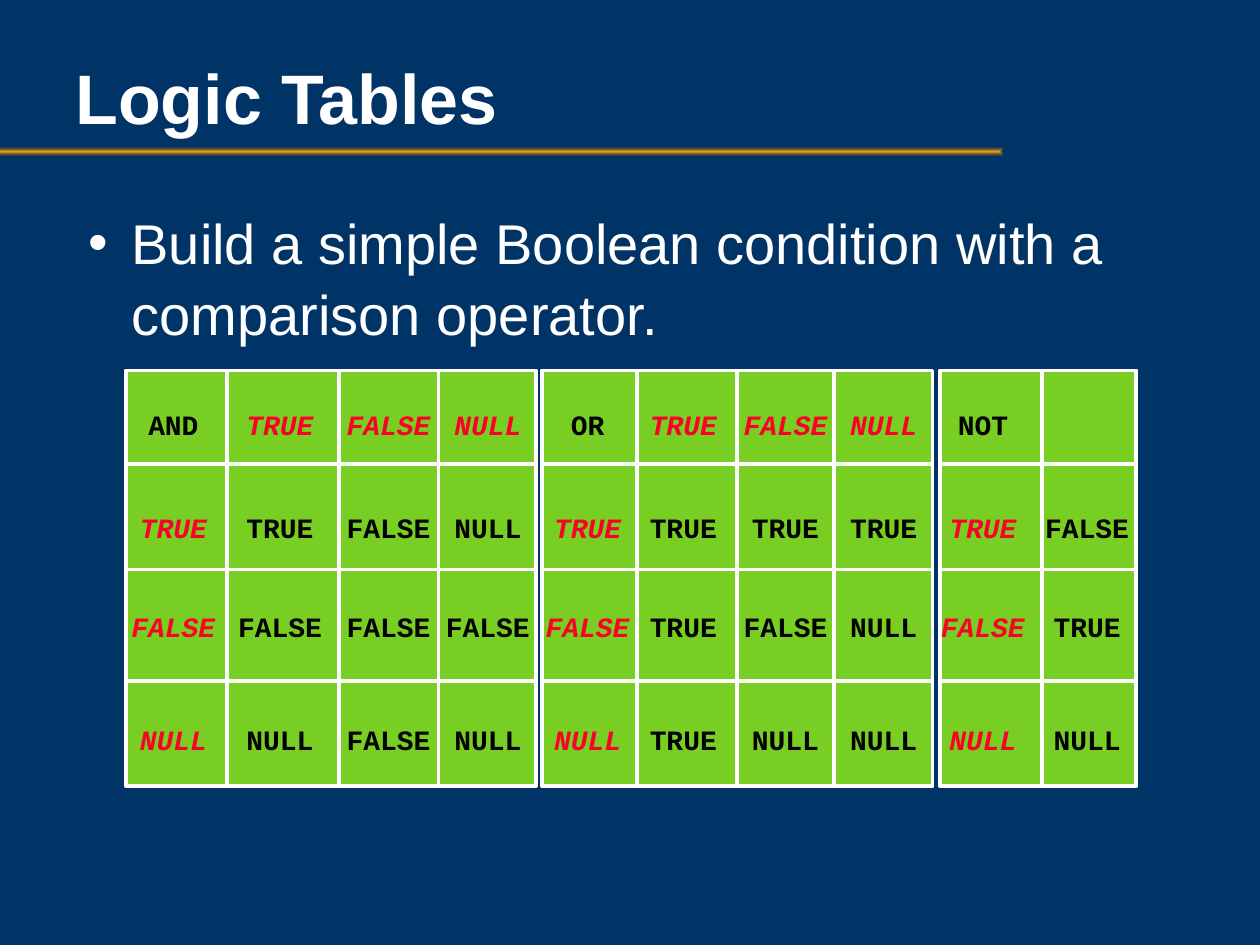
from lxml import etree
from pptx import Presentation
from pptx.dml.color import RGBColor
from pptx.enum import shapes as kinds, text as txt
from pptx.oxml import parse_xml
from pptx.oxml.ns import nsdecls, qn
from pptx.util import Cm, Pt

TITLE = "Logic Tables"
POINT = "Build a simple Boolean condition with a comparison operator."
# Lengths are centimetres: edges of the columns, centres of their words, rows.
TABLES = [
    dict(edges=[2.54, 4.57, 6.83, 8.84, 10.8],
         mids=[3.5, 5.65, 7.84, 9.84],
         rows=["AND TRUE FALSE NULL", "TRUE TRUE FALSE NULL",
               "FALSE FALSE FALSE FALSE", "NULL NULL FALSE NULL"]),
    dict(edges=[18.95, 21.01, 22.91],
         mids=[19.82, 21.92],
         rows=["NOT", "TRUE FALSE", "FALSE TRUE", "NULL NULL"]),
    dict(edges=[10.92, 12.85, 14.86, 16.81, 18.8],
         mids=[11.85, 13.78, 15.84, 17.82],
         rows=["OR TRUE FALSE NULL", "TRUE TRUE TRUE TRUE",
               "FALSE TRUE FALSE NULL", "NULL TRUE NULL NULL"]),
]
LEVELS = [7.47, 9.35, 11.48, 13.72, 15.85]
TOPS = [8.1, 10.16, 12.17, 14.45]
LETTER, INSET, HIGH = 0.34, 0.25, 0.94
NAVY, WHITE, GREEN, RED, BLACK = "003366", "FFFFFF", "79CE24", "FC0128", "000000"
HEAD = dict(name="Arial", size=Pt(40), bold=True)
BODY = dict(name="Arial", size=Pt(32), bold=False)
CELL = dict(name="Courier New", size=Pt(16), bold=True)


def paint(part, tone):
    """Give a fill a solid colour, or a font or line its colour."""
    if hasattr(part, "solid"):
        part.solid()
        part.fore_color.rgb = RGBColor.from_string(tone)
    else:
        part.color.rgb = RGBColor.from_string(tone)


def style(font, look, tone):
    for key, value in look.items():
        setattr(font, key, value)
    paint(font, tone)


def place(shape, *box):
    for key, value in zip(("left", "top", "width", "height"), box):
        setattr(shape, key, Cm(value))


def rect(slide, left, top, wide, high):
    box = slide.shapes.add_shape(kinds.MSO_SHAPE.RECTANGLE,
                                 Cm(left), Cm(top), Cm(wide), Cm(high))
    box.shadow.inherit = False
    return box


def rule(slide, *ends):
    line = slide.shapes.add_connector(kinds.MSO_CONNECTOR.STRAIGHT,
                                      *[Cm(end) for end in ends])
    paint(line.line, WHITE)
    line.line.width = Pt(2.25)
    etree.SubElement(line._element.spPr, qn("a:effectLst"))


def word(slide, label, mid, top, key):
    """Write one value centred on mid; key values are red italics."""
    wide = len(label) * LETTER + 2 * INSET
    box = slide.shapes.add_textbox(Cm(mid - wide / 2), Cm(top), Cm(wide), Cm(HIGH))
    frame = box.text_frame
    frame.word_wrap = False
    frame.auto_size = txt.MSO_AUTO_SIZE.SHAPE_TO_FIT_TEXT
    para = frame.paragraphs[0]
    run = para.add_run()
    run.text = label
    style(run.font, dict(CELL, italic=key), RED if key else BLACK)


def grid(slide, edges, mids, rows):
    left, right, top, base = edges[0], edges[-1], LEVELS[0], LEVELS[-1]
    box = rect(slide, left, top, right - left, base - top)
    paint(box.fill, GREEN)
    paint(box.line, WHITE)
    box.line.width = Pt(2.25)
    for x in edges[1:-1]:
        rule(slide, x, top, x, base)
    for y in LEVELS[1:-1]:
        rule(slide, left, y, right, y)
    for i, row in enumerate(rows):
        for j, label in enumerate(row.split()):
            word(slide, label, mids[j], TOPS[i], (i == 0) != (j == 0))


def bar(slide):
    """Draw the golden bar that fades out at its rim, behind everything."""
    strip = rect(slide, -0.08, 2.95, 20.32, 0.2)
    strip.line.fill.background()
    fade = parse_xml(
        f'<a:gradFill {nsdecls("a")} rotWithShape="1"><a:gsLst>'
        '<a:gs pos="0"><a:srgbClr val="FAA712"/></a:gs>'
        '<a:gs pos="100000"><a:srgbClr val="744D08"><a:alpha val="0"/></a:srgbClr></a:gs>'
        '</a:gsLst><a:path path="rect"><a:fillToRect l="50000" t="50000" '
        'r="50000" b="50000"/></a:path></a:gradFill>')
    strip._element.spPr.find(qn("a:prstGeom")).addnext(fade)
    slide.shapes._spTree.insert(2, strip._element)


def heads(slide):
    title, body = slide.placeholders
    place(title, 1.27, 0.46, 21.79, 2.97)
    place(body, 1.27, 4.01, 22.86, 13.54)
    title.text_frame.vertical_anchor = txt.MSO_ANCHOR.MIDDLE
    for shape, words, look in ((title, TITLE, HEAD), (body, POINT, BODY)):
        shape.text_frame.text = words
        shape.text_frame.auto_size = txt.MSO_AUTO_SIZE.NONE
        para = shape.text_frame.paragraphs[0]
        para.alignment = txt.PP_ALIGN.LEFT
        para.space_before = Pt(0)
        style(para.runs[0].font, look, WHITE)
    para.line_spacing = 1.05
    props = para._p.get_or_add_pPr()
    props.set("marL", str(Cm(1.13)))
    props.set("indent", str(Cm(-0.88)))
    tint = etree.SubElement(props, qn("a:buClr"))
    etree.SubElement(tint, qn("a:srgbClr"), val=WHITE)
    etree.SubElement(props, qn("a:buChar"), char="•")


def main():
    deck = Presentation()
    deck.slide_width, deck.slide_height = Cm(25.4), Cm(19.05)
    slide = deck.slides.add_slide(deck.slide_layouts[1])
    paint(slide.background.fill, NAVY)
    heads(slide)
    bar(slide)
    for table in TABLES:
        grid(slide, **table)
    deck.save("out.pptx")


if __name__ == "__main__":
    main()
